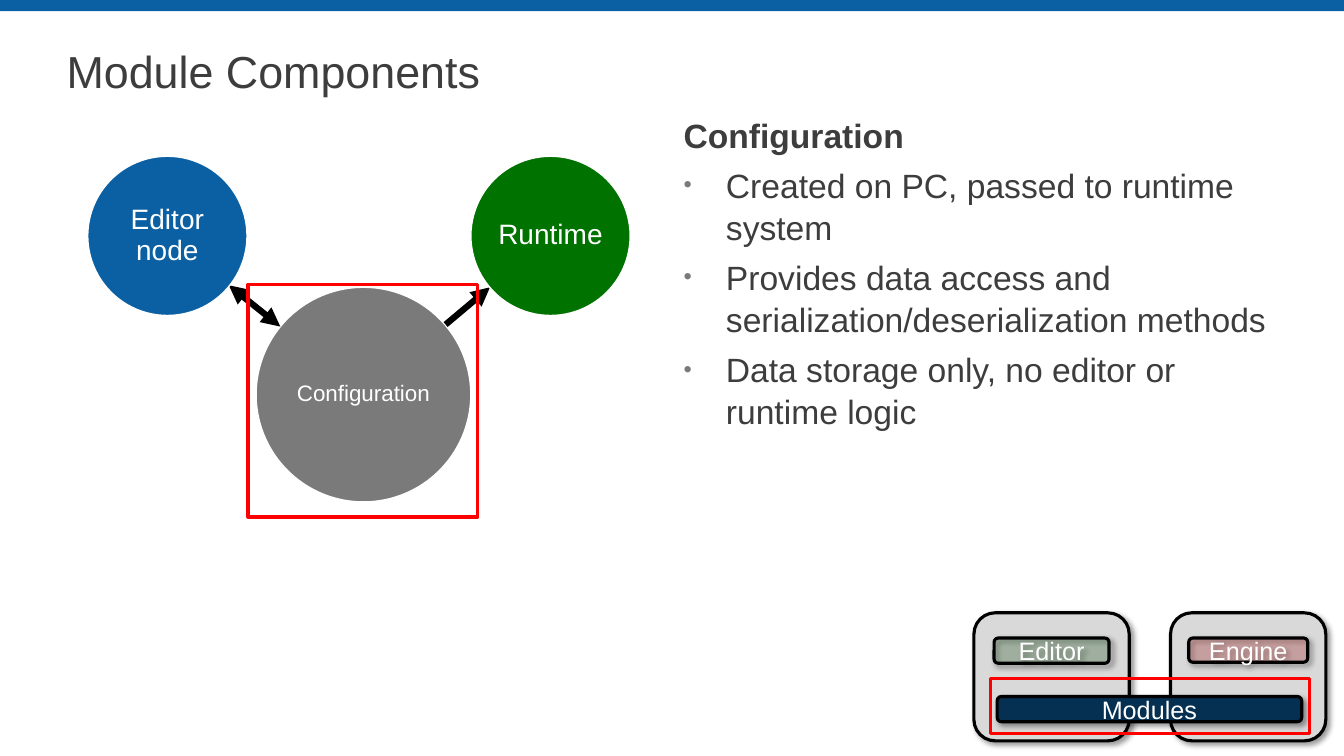
from lxml.etree import SubElement
from pptx import Presentation
from pptx.dml.color import RGBColor
from pptx.enum.shapes import MSO_CONNECTOR as Connector, MSO_SHAPE as Shape
from pptx.enum.text import MSO_ANCHOR as Anchor, MSO_AUTO_SIZE as AutoSize, PP_ALIGN as Align
from pptx.oxml.ns import qn
from pptx.util import Inches, Pt

COLORS = {
    "blue": "0A60A3", "green": "007200", "gray": "7A7A7A", "text": "3D3D3D",
    "white": "FFFFFF", "black": "000000", "panel": "D9D9D9", "engine": "C00000",
    "editor": "004C00", "modules": "053052", "highlight": "FF0000",
}


def color(name):
    """Return the named colour."""
    return RGBColor.from_string(COLORS[name])


def add_run(para, text, size, tone, bold=False):
    """Add one formatted run to a paragraph."""
    span = para.add_run()
    span.text = text
    span.font.name = "Arial"
    span.font.size = Pt(size)
    span.font.bold = bold
    span.font.color.rgb = color(tone)


def add_box(page, kind, box, fill=None, line=None, weight=2.25):
    """Add a preset shape with a flat fill and outline."""
    shape = page.shapes.add_shape(kind, *map(Inches, box))
    shape.shadow.inherit = False
    if fill:
        shape.fill.solid()
        shape.fill.fore_color.rgb = color(fill)
    else:
        shape.fill.background()
    if line:
        shape.line.color.rgb = color(line)
        shape.line.width = Pt(weight)
    else:
        shape.line.fill.background()
    return shape


def add_label(shape, text, size, spacing=1.0):
    """Centre a white label in a shape."""
    frame = shape.text_frame
    frame.word_wrap = True
    frame.vertical_anchor = Anchor.MIDDLE
    para = frame.paragraphs[0]
    para.alignment = Align.CENTER
    para.line_spacing = spacing
    add_run(para, text, size, "white")


def add_shadow(shape):
    """Give a shape a soft shadow to the lower right."""
    effects = shape._element.spPr.find(qn("a:effectLst"))
    shadow = SubElement(effects, qn("a:outerShdw"), blurRad=str(Pt(4)), dist=str(Pt(3)),
                        dir=str(45 * 60000), algn="tl", rotWithShape="0")
    tint = SubElement(shadow, qn("a:srgbClr"), val=COLORS["black"])
    SubElement(tint, qn("a:alpha"), val="40000")


def add_block(page, box, fill, text=None, opacity=100):
    """Add a rounded, shadowed block with an optional label."""
    block = add_box(page, Shape.ROUNDED_RECTANGLE, box, fill, "black")
    add_shadow(block)
    if opacity < 100:
        tint = block._element.spPr.find(qn("a:solidFill"))[0]
        SubElement(tint, qn("a:alpha"), val=str(opacity * 1000))
    if text:
        add_label(block, text, 18)


def add_circle(page, left, top, size, fill, text, text_size):
    """Add a labelled circle."""
    circle = add_box(page, Shape.OVAL, (left, top, size, size), fill, "white", 1)
    frame = circle.text_frame
    frame.margin_left = frame.margin_right = Inches(0.01)
    frame.margin_top = frame.margin_bottom = Inches(0.01)
    add_label(circle, text, text_size, 0.9)


def add_arrow(page, start, end, ends):
    """Add a thick black arrow with heads at the given ends."""
    arrow = page.shapes.add_connector(Connector.STRAIGHT, *map(Inches, start + end))
    arrow.line.color.rgb = color("black")
    arrow.line.width = Pt(4.5)
    for tag in ends:
        SubElement(arrow.line._get_or_add_ln(), qn(tag), type="triangle")
    SubElement(arrow._element.spPr, qn("a:effectLst"))


def place(holder, box):
    """Move a placeholder and set its text margins."""
    holder.left, holder.top, holder.width, holder.height = map(Inches, box)
    frame = holder.text_frame
    frame.margin_left = frame.margin_right = 0
    frame.margin_top = frame.margin_bottom = Inches(0.05)
    frame.word_wrap = True
    frame.auto_size = AutoSize.NONE
    return frame


def fill_title(page, box, text):
    """Fill the title placeholder."""
    frame = place(page.shapes.title, box)
    frame.vertical_anchor = Anchor.MIDDLE
    para = frame.paragraphs[0]
    para.alignment = Align.LEFT
    para.line_spacing = 0.9
    add_run(para, text, 32, "text")


def fill_body(page, box, heading, points):
    """Fill the body placeholder with a bold heading and bullets."""
    frame = place(page.placeholders[1], box)
    frame.vertical_anchor = Anchor.TOP
    for index, text in enumerate([heading] + points):
        para = frame.add_paragraph() if index else frame.paragraphs[0]
        para.space_before = Pt(5.3)
        para.line_spacing = 1.05
        props = para._p.get_or_add_pPr()
        indent = Inches(0.42) if index else 0
        props.set("marL", str(indent))
        props.set("indent", str(-indent))
        if index:
            SubElement(SubElement(props, qn("a:buClr")), qn("a:srgbClr"), val=COLORS["gray"])
            SubElement(props, qn("a:buSzPct"), val="70000")
            SubElement(props, qn("a:buFont"), typeface="Arial")
            SubElement(props, qn("a:buChar"), char="•")
        else:
            SubElement(props, qn("a:buNone"))
        add_run(para, text, 24, "text", bold=not index)


def draw_components(page, left, top):
    """Draw the three linked component circles and the highlight frame."""
    add_circle(page, left + 1.67, top + 1.3, 2.13, "gray", "Configuration", 16)
    add_arrow(page, (left + 1.91, top + 1.69), (left + 1.4, top + 1.28),
              ["a:headEnd", "a:tailEnd"])
    add_circle(page, left, top, 1.58, "blue", "Editor node", 20)
    add_arrow(page, (left + 3.55, top + 1.67), (left + 3.99, top + 1.3), ["a:tailEnd"])
    add_circle(page, left + 3.8, top, 1.58, "green", "Runtime", 20)


def draw_overview(page, left, top):
    """Draw the small system map."""
    for offset in (0, 1.95):
        add_block(page, (left + offset, top, 1.54, 1.27), "panel")
    add_block(page, (left + 2.13, top + 0.25, 1.18, 0.24), "engine", "Engine", 20)
    add_block(page, (left + 0.2, top + 0.25, 1.14, 0.25), "editor", "Editor", 20)
    add_block(page, (left + 0.23, top + 0.83, 3.02, 0.25), "modules", "Modules")


def main():
    """Build and save the slide."""
    deck = Presentation()
    deck.slide_width, deck.slide_height = Inches(13.33), Inches(7.5)
    page = deck.slides.add_slide(deck.slide_layouts[1])
    add_box(page, Shape.RECTANGLE, (0, 0, 13.33, 0.11), "blue")
    fill_title(page, (0.66, 0.4, 12, 0.67), "Module Components")
    fill_body(page, (6.78, 1.07, 5.89, 3.88), "Configuration", [
        "Created on PC, passed to runtime system",
        "Provides data access and serialization/deserialization methods",
        "Data storage only, no editor or runtime logic",
    ])
    draw_components(page, 0.87, 1.55)
    draw_overview(page, 9.66, 6.08)
    for frame in ((2.46, 2.82, 2.28, 2.31), (9.82, 6.73, 3.17, 0.55)):
        add_box(page, Shape.RECTANGLE, frame, line="highlight")
    deck.save("out.pptx")


if __name__ == "__main__":
    main()
